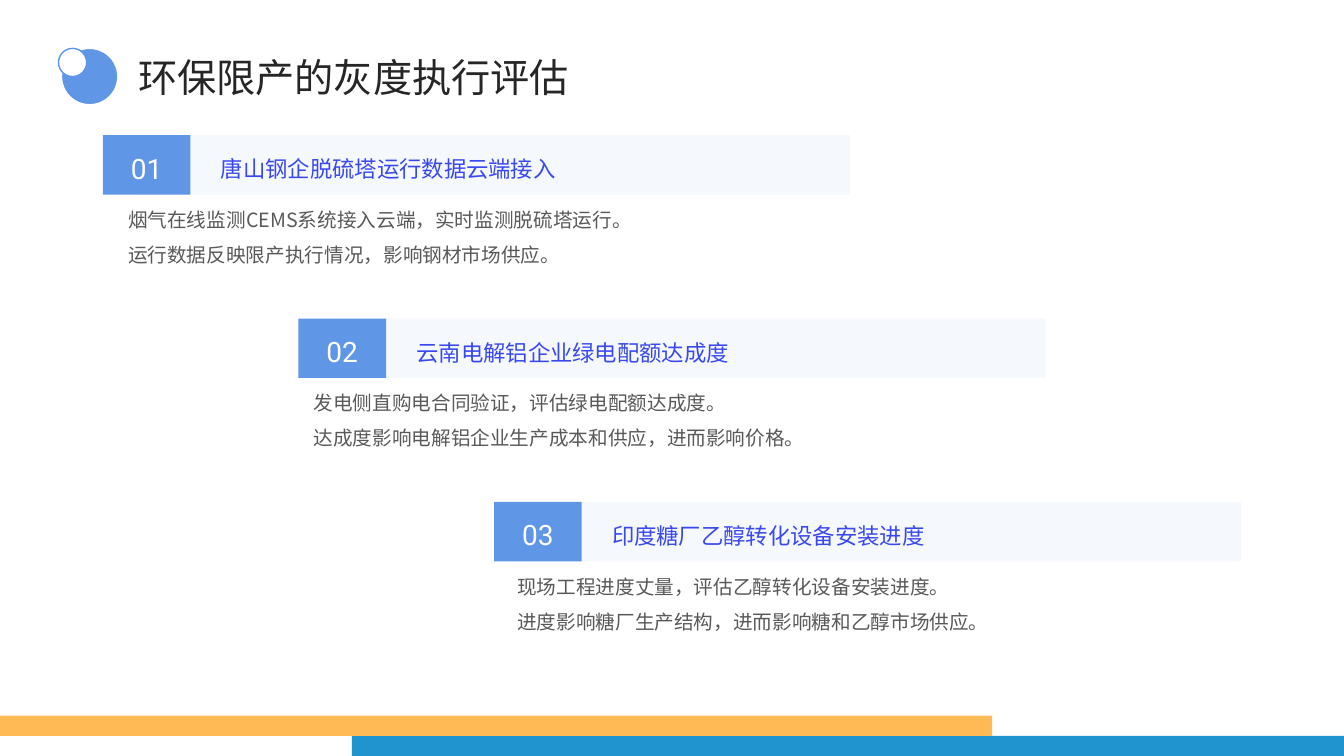
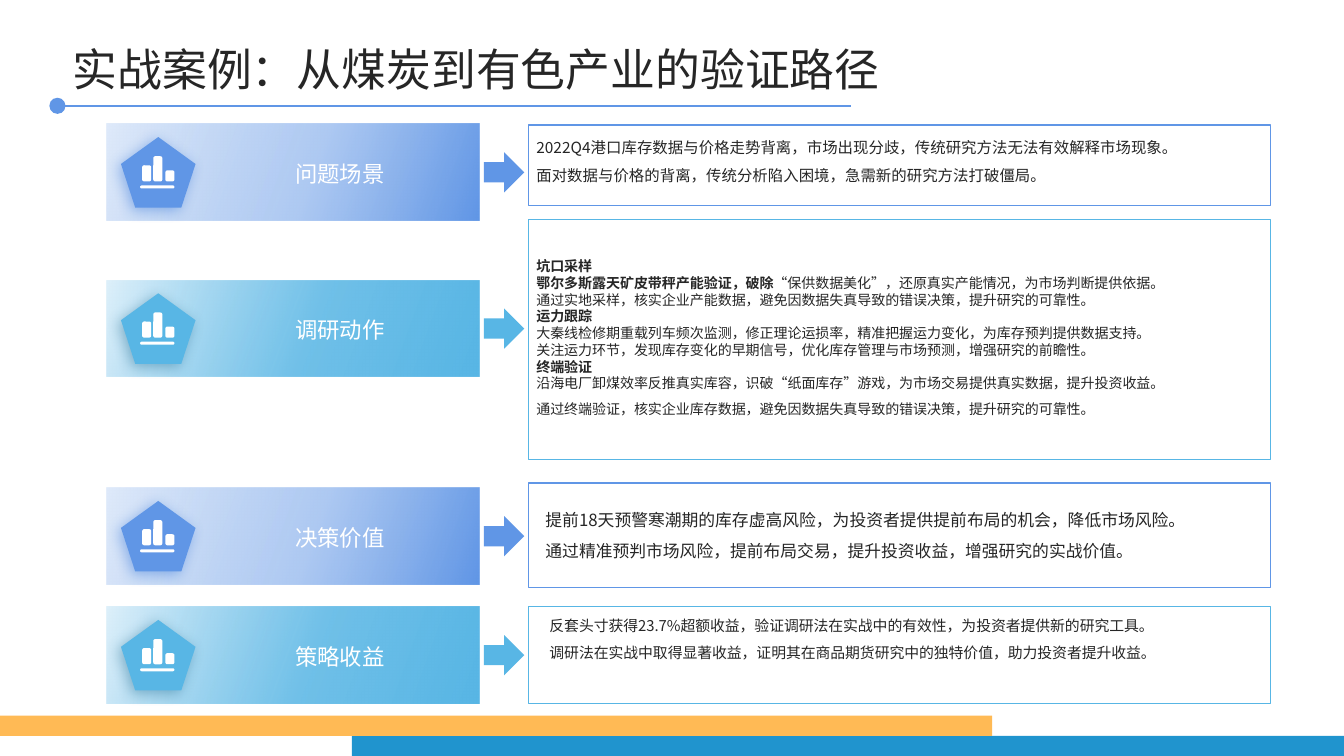
"""Build two slides on field research for commodity markets."""
from dataclasses import dataclass

import lxml.etree
import pptx
import pptx.dml.color
import pptx.enum.shapes
import pptx.enum.text
import pptx.oxml.ns
import pptx.util

SHAPE = pptx.enum.shapes.MSO_SHAPE
ALIGN = pptx.enum.text.PP_ALIGN
ANCHOR = pptx.enum.text.MSO_ANCHOR
qn = pptx.oxml.ns.qn
EMU_PER_PX = 9144


@dataclass(frozen=True)
class Theme:
    font: str = "Noto Sans CJK SC"
    number_font: str = "Roboto"
    white: str = "FFFFFF"
    ink: str = "262626"
    body: str = "595959"
    heading: str = "3949EE"
    blue: str = "6096E6"
    sky: str = "58B6E5"
    pale: str = "DFEAFA"
    band_blue: str = "2094CE"
    band_orange: str = "FFBA55"
    heading_size: int = 16
    number_size: int = 20
    body_size: int = 14
    line_height: float = 1.2
    line_gap: float = 0.6


THEME = Theme()

BANDS = [((349, 730, 984, 20), THEME.band_blue), ((0, 710, 984, 20), THEME.band_orange)]

ASSESSMENT_TITLE = "环保限产的灰度执行评估"
ASSESSMENTS = [
    ("唐山钢企脱硫塔运行数据云端接入", 127,
     ["烟气在线监测CEMS系统接入云端，实时监测脱硫塔运行。",
      "运行数据反映限产执行情况，影响钢材市场供应。"]),
    ("云南电解铝企业绿电配额达成度", 311,
     ["发电侧直购电合同验证，评估绿电配额达成度。",
      "达成度影响电解铝企业生产成本和供应，进而影响价格。"]),
    ("印度糖厂乙醇转化设备安装进度", 513,
     ["现场工程进度丈量，评估乙醇转化设备安装进度。",
      "进度影响糖厂生产结构，进而影响糖和乙醇市场供应。"]),
]

CASE_TITLE = "实战案例：从煤炭到有色产业的验证路径"
CASE_STEPS = [
    {"label": "问题场景", "top": 123, "box": (124, 80), "margins": (8, 0, 0, 8), "size": 11,
     "lines": ["2022Q4港口库存数据与价格走势背离，市场出现分歧，传统研究方法无法有效解释市场现象。",
               "面对数据与价格的背离，传统分析陷入困境，急需新的研究方法打破僵局。"]},
    {"label": "调研动作", "top": 278, "box": (218, 238), "margins": (8, 0, 0, 5), "size": 10,
     "tight": 8,
     "lines": [("坑口采样", ""),
               ("鄂尔多斯露天矿皮带秤产能验证，破除",
                "“保供数据美化”，还原真实产能情况，为市场判断提供依据。"),
               "通过实地采样，核实企业产能数据，避免因数据失真导致的错误决策，提升研究的可靠性。",
               ("运力跟踪", ""),
               "大秦线检修期重载列车频次监测，修正理论运损率，精准把握运力变化，为库存预判提供数据支持。",
               "关注运力环节，发现库存变化的早期信号，优化库存管理与市场预测，增强研究的前瞻性。",
               ("终端验证", ""),
               "沿海电厂卸煤效率反推真实库容，识破“纸面库存”游戏，为市场交易提供真实数据，提升投资收益。",
               "通过终端验证，核实企业库存数据，避免因数据失真导致的错误决策，提升研究的可靠性。"]},
    {"label": "决策价值", "top": 484, "box": (479, 104), "margins": (17, 0, 0, 0), "size": 12,
     "lines": ["提前18天预警寒潮期的库存虚高风险，为投资者提供提前布局的机会，降低市场风险。",
               "通过精准预判市场风险，提前布局交易，提升投资收益，增强研究的实战价值。"]},
    {"label": "策略收益", "top": 602, "box": (602, 96), "margins": (21, 0, 0, 32), "size": 10.6,
     "lines": ["反套头寸获得23.7%超额收益，验证调研法在实战中的有效性，为投资者提供新的研究工具。",
               "调研法在实战中取得显著收益，证明其在商品期货研究中的独特价值，助力投资者提升收益。"]},
]
STEP_STYLES = [
    {"accent": THEME.blue, "shadow": "2169D3",
     "stops": [(0, THEME.pale, 100), (55, "A0C0F0", 85), (100, THEME.blue, 100)]},
    {"accent": THEME.sky, "shadow": "156389",
     "stops": [(0, "DEF0FA", 100), (55, THEME.sky, 85), (100, THEME.sky, 100)]},
]
ICON_BARS = [(0, 29, 34, 3), (2, 9, 9, 16), (13, 0, 9, 25), (25, 14, 9, 11)]


def px(length):
    return pptx.util.Emu(length * EMU_PER_PX)


def place(box):
    return [px(length) for length in box]


def rgb(color):
    return pptx.dml.color.RGBColor.from_string(color)


def add_color(parent, color, alpha):
    node = lxml.etree.SubElement(parent, qn("a:srgbClr"), val=color)
    if alpha < 100:
        lxml.etree.SubElement(node, qn("a:alpha"), val=str(alpha * 1000))


def draw(shapes, kind, box, fill=None, line=None):
    shape = shapes.add_shape(kind, *place(box))
    shape.shadow.inherit = False
    if fill:
        shape.fill.solid()
        shape.fill.fore_color.rgb = rgb(fill)
    else:
        shape.fill.background()
    if line:
        shape.line.color.rgb = rgb(line)
        shape.line.width = pptx.util.Pt(1)
    else:
        shape.line.fill.background()
    return shape


def set_alpha(shape, color, alpha):
    solid = shape.element.spPr.find(qn("a:solidFill"))
    solid.remove(solid[0])
    add_color(solid, color, alpha)


def set_gradient(shape, stops, angle):
    properties = shape.element.spPr
    gradient = lxml.etree.Element(qn("a:gradFill"), rotWithShape="1")
    stop_list = lxml.etree.SubElement(gradient, qn("a:gsLst"))
    for position, color, alpha in stops:
        stop = lxml.etree.SubElement(stop_list, qn("a:gs"), pos=str(position * 1000))
        add_color(stop, color, alpha)
    lxml.etree.SubElement(gradient, qn("a:lin"), ang=str(angle * 60000), scaled="0")
    properties.replace(properties.find(qn("a:noFill")), gradient)


def set_shadow(shape, color):
    effects = shape.element.spPr.find(qn("a:effectLst"))
    shadow = lxml.etree.SubElement(
        effects, qn("a:outerShdw"), blurRad=str(pptx.util.Pt(10)),
        dist=str(pptx.util.Pt(3)), dir=str(135 * 60000), algn="tr", rotWithShape="0")
    add_color(shadow, color, 40)


def write_text(shape, lines, size, color, font=THEME.font, align=ALIGN.LEFT,
               anchor=ANCHOR.MIDDLE, margins=(0, 0, 0, 0), tight=None):
    frame = shape.text_frame
    frame.word_wrap = True
    frame.auto_size = pptx.enum.text.MSO_AUTO_SIZE.NONE
    frame.vertical_anchor = anchor
    frame.margin_left, frame.margin_top, frame.margin_right, frame.margin_bottom = place(margins)
    for index, line in enumerate(lines):
        paragraph = frame.paragraphs[0] if index == 0 else frame.add_paragraph()
        bold, regular = line if isinstance(line, tuple) else ("", line)
        paragraph.text = bold or regular
        if bold and regular:
            paragraph.add_run().text = regular
        paragraph.alignment = align
        if tight is not None:
            paragraph.line_spacing = pptx.util.Pt(size * THEME.line_height)
            gap = THEME.line_gap if index >= tight else 0
            paragraph.space_before = pptx.util.Pt(size * gap)
        for run_index, run in enumerate(paragraph.runs):
            run.font.name = font
            run.font.size = pptx.util.Pt(size)
            run.font.bold = bool(bold) and run_index == 0
            run.font.color.rgb = rgb(color)
    for properties in shape.element.iter(qn("a:rPr")):
        lxml.etree.SubElement(properties, qn("a:ea"), typeface=font)


def add_slide(presentation, title, box, size):
    slide = presentation.slides.add_slide(presentation.slide_layouts[5])
    heading = slide.shapes.title
    heading.left, heading.top, heading.width, heading.height = place(box)
    write_text(heading, [title], size, THEME.ink)
    return slide


def move_bands_to_layout(slide):
    for box, color in BANDS:
        band = draw(slide.shapes, SHAPE.RECTANGLE, box, color)
        slide.slide_layout.shapes.element.append(band.element)


def build_assessment(presentation):
    slide = add_slide(presentation, ASSESSMENT_TITLE, (137, 51, 1188, 51), 28)
    move_bands_to_layout(slide)
    shapes = slide.shapes
    for index, (heading, body_left, lines) in enumerate(ASSESSMENTS):
        left, top = 102 + 194 * index, 134 + 182 * index
        panel = draw(shapes, SHAPE.RECTANGLE, (left + 32, top, 709, 59), THEME.pale)
        set_alpha(panel, THEME.pale, 30)
        write_text(panel, [heading], THEME.heading_size, THEME.heading, margins=(85, 8, 0, 0))
        tile = draw(shapes, SHAPE.RECTANGLE, (left, top, 87, 59), THEME.blue)
        write_text(tile, [f"{index + 1:02d}"], THEME.number_size, THEME.white,
                   THEME.number_font, ALIGN.CENTER, margins=(0, 6, 0, 0))
        body = shapes.add_textbox(*place((body_left, top + 72, 689, 91)))
        write_text(body, lines, THEME.body_size, THEME.body, anchor=ANCHOR.TOP, tight=1)
    draw(shapes, SHAPE.OVAL, (61, 48, 56, 56), THEME.blue, THEME.white)
    draw(shapes, SHAPE.OVAL, (58, 48, 28, 28), THEME.white, THEME.blue)


def add_chart_icon(slide, left, top):
    group = slide.shapes.add_group_shape()
    for x, y, width, height in ICON_BARS:
        bar = draw(group.shapes, SHAPE.ROUNDED_RECTANGLE,
                   (left + x, top + y, width, height), THEME.white)
        bar.adjustments[0] = min(0.5, 2 / min(width, height))


def build_case(presentation):
    slide = add_slide(presentation, CASE_TITLE, (72, 43, 1188, 51), 32)
    shapes = slide.shapes
    for index, step in enumerate(CASE_STEPS):
        style = STEP_STYLES[index % len(STEP_STYLES)]
        accent, top = style["accent"], step["top"]
        box_top, box_height = step["box"]
        box = draw(shapes, SHAPE.RECTANGLE, (524, box_top, 736, box_height), line=accent)
        write_text(box, step["lines"], step["size"], THEME.ink,
                   margins=step["margins"], tight=step.get("tight", 1))
        label = draw(shapes, SHAPE.RECTANGLE, (106, top, 370, 96))
        set_gradient(label, style["stops"], 20)
        write_text(label, [step["label"]], THEME.heading_size, THEME.white,
                   align=ALIGN.CENTER, margins=(92, 2, 0, 0))
        badge = draw(shapes, SHAPE.REGULAR_PENTAGON, (120, top + 13, 74, 70), accent)
        set_shadow(badge, style["shadow"])
        add_chart_icon(slide, 139, top + 32)
        draw(shapes, SHAPE.RIGHT_ARROW, (480, top + 28, 40, 40), accent)
    draw(shapes, SHAPE.OVAL, (49, 97, 16, 16), THEME.blue)
    rule = shapes.add_connector(pptx.enum.shapes.MSO_CONNECTOR.STRAIGHT,
                                *place((56, 105, 844, 105)))
    rule.line.color.rgb = rgb(THEME.blue)
    rule.line.width = pptx.util.Pt(1)
    lxml.etree.SubElement(rule.element.spPr, qn("a:effectLst"))


def main():
    presentation = pptx.Presentation()
    presentation.slide_width, presentation.slide_height = px(1333), px(750)
    build_assessment(presentation)
    build_case(presentation)
    presentation.save("out.pptx")


if __name__ == "__main__":
    main()
